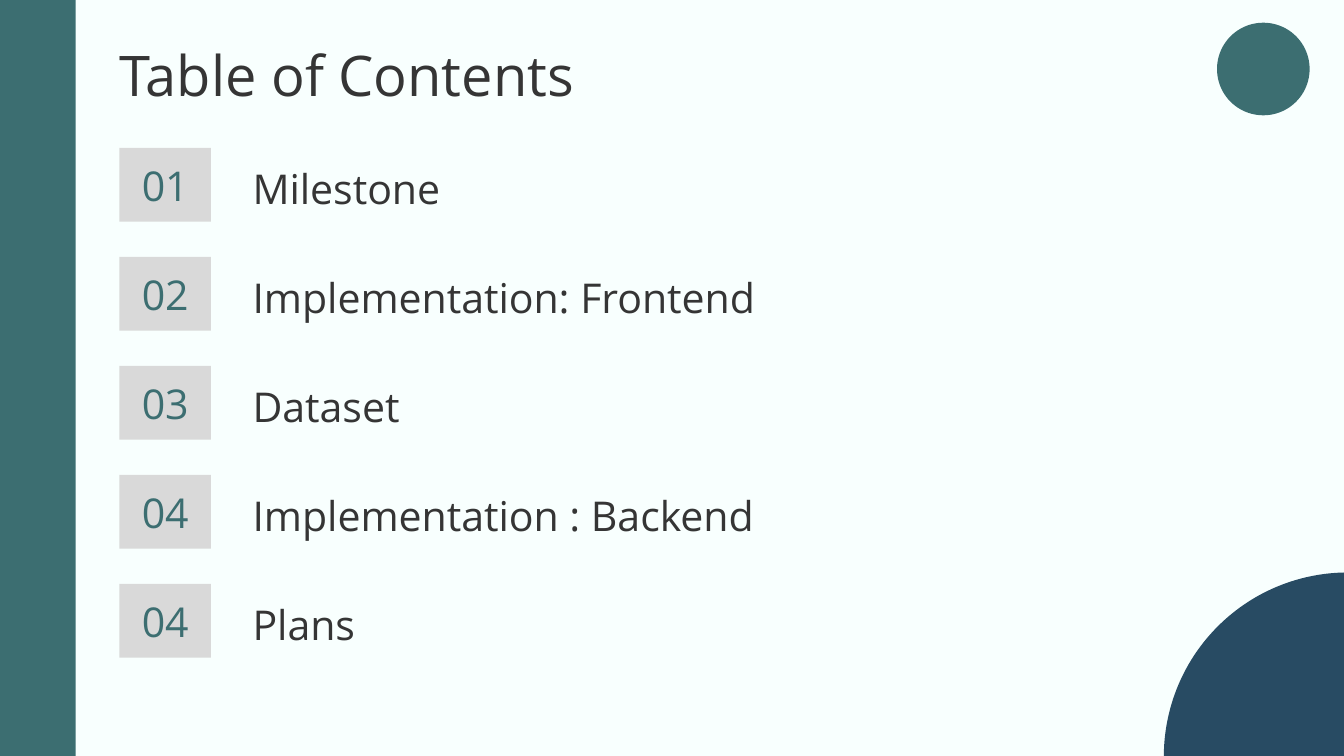
"""Build a table of contents slide with numbered entries."""
from pptx import Presentation
from pptx.dml.color import RGBColor
from pptx.enum.shapes import MSO_SHAPE
from pptx.enum.text import MSO_ANCHOR, PP_ALIGN
from pptx.util import Pt

RECT, OVAL, PIE = MSO_SHAPE.RECTANGLE, MSO_SHAPE.OVAL, MSO_SHAPE.PIE
TOP, MIDDLE = MSO_ANCHOR.TOP, MSO_ANCHOR.MIDDLE
LEFT, CENTER = PP_ALIGN.LEFT, PP_ALIGN.CENTER

COLORS = {
    "background": "F8FFFE",
    "teal": "3C6E71",
    "navy": "284B63",
    "gray": "D9D9D9",
    "text": "353535",
}
FONT = "Open Sans"
INSET = 7.2
FIRST_TOP = 79.2
ROW_PITCH = 58.4
ENTRIES = [
    ("01", "Milestone"),
    ("02", "Implementation: Frontend"),
    ("03", "Dataset"),
    ("04", "Implementation : Backend"),
    ("04", "Plans"),
]


def rgb(name):
    return RGBColor.from_string(COLORS[name])


def add_filled(s, kind, left, top, width, height, color):
    sp = s.shapes.add_shape(kind, Pt(left), Pt(top), Pt(width), Pt(height))
    sp.shadow.inherit = False
    sp.fill.solid()
    sp.fill.fore_color.rgb = rgb(color)
    sp.line.fill.background()
    return sp


def set_text(sp, text, size, color, anchor=MIDDLE, align=LEFT, spacing=1.0):
    tf = sp.text_frame
    tf.word_wrap = True
    tf.vertical_anchor = anchor
    tf.margin_left = tf.margin_right = Pt(INSET)
    tf.margin_top = tf.margin_bottom = Pt(INSET)
    p = tf.paragraphs[0]
    p.text = text
    p.alignment = align
    p.line_spacing = spacing
    p.font.name = FONT
    p.font.size = Pt(size)
    p.font.color.rgb = rgb(color)


def add_label(s, text, left, top, width, height, size, **style):
    sp = s.shapes.add_textbox(Pt(left), Pt(top), Pt(width), Pt(height))
    set_text(sp, text, size, "text", **style)


def add_entry(s, number, title, top):
    sp = add_filled(s, RECT, 64, top, 49, 39.6, "gray")
    set_text(sp, number, 22, "teal", align=CENTER)
    add_label(s, title, 128.2, top + 5, 438.5, 29.5, 22, spacing=1.15)


def add_decoration(s):
    add_filled(s, RECT, 0, 0, 40.6, 405, "teal")
    pie = add_filled(s, PIE, 623.5, 306.7, 197.3, 197.3, "navy")
    pie.adjustments[0] = 107.95
    pie.adjustments[1] = 162
    add_filled(s, OVAL, 652, 12.2, 49.6, 49.6, "teal")


def main():
    prs = Presentation()
    prs.slide_width, prs.slide_height = Pt(720), Pt(405)
    s = prs.slides.add_slide(prs.slide_layouts[6])
    s.background.fill.solid()
    s.background.fill.fore_color.rgb = rgb("background")
    add_decoration(s)
    add_label(s, "Table of Contents", 56.9, 14.4, 607, 45.4, 30, anchor=TOP)
    for i, (number, title) in enumerate(ENTRIES):
        add_entry(s, number, title, FIRST_TOP + i * ROW_PITCH)
    prs.save("out.pptx")


if __name__ == "__main__":
    main()
